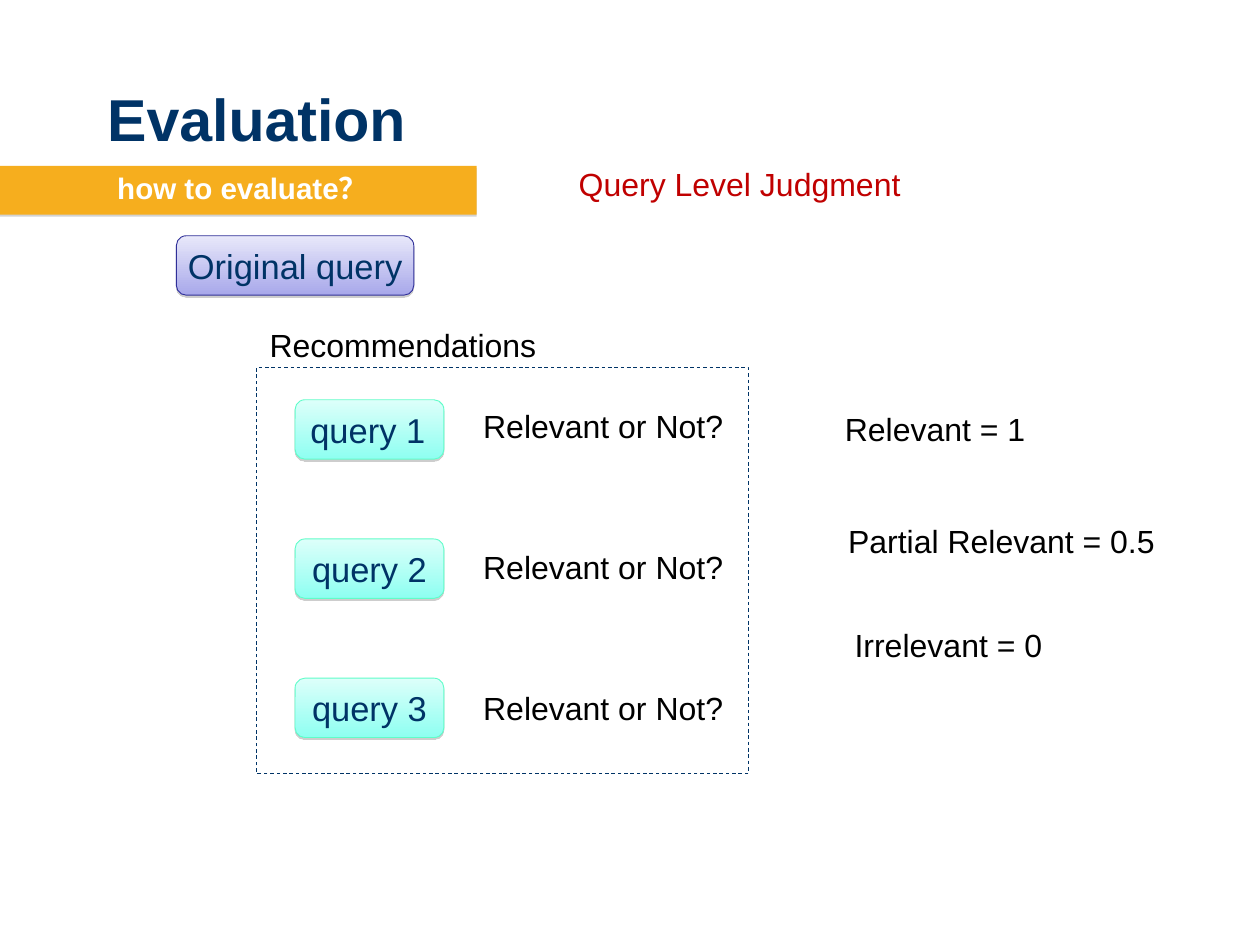
from lxml.etree import SubElement
from pptx import Presentation
from pptx.dml.color import RGBColor
from pptx.enum.dml import MSO_LINE
from pptx.enum.shapes import MSO_SHAPE
from pptx.enum.text import MSO_ANCHOR, PP_ALIGN
from pptx.oxml.ns import qn
from pptx.util import Inches, Pt

COLORS = {
    "navy": "003366",
    "black": "000000",
    "white": "FFFFFF",
    "red": "C00000",
    "orange": "F6AE1E",
    "shadow": "808080",
    "mint_top": "DDFFFA",
    "mint_bottom": "8EFFF1",
    "mint_line": "60FDC9",
    "lilac_top": "E8E8FA",
    "lilac_bottom": "A8A8EA",
    "lilac_line": "2F2F98",
}
LABEL_INSETS = (0.14, 0.07, 0.14, 0.07)


def rgb(name):
    return RGBColor.from_string(COLORS[name])


def write(shape, text, size, color, bold=False, align=PP_ALIGN.CENTER,
          anchor=MSO_ANCHOR.TOP, insets=LABEL_INSETS, wrap=False):
    frame = shape.text_frame
    frame.word_wrap = wrap
    frame.vertical_anchor = anchor
    left, top, right, bottom = insets
    frame.margin_left, frame.margin_top = Inches(left), Inches(top)
    frame.margin_right, frame.margin_bottom = Inches(right), Inches(bottom)
    para = frame.paragraphs[0]
    para.text = text
    para.alignment = align
    para.font.name = "Arial"
    para.font.size = Pt(size)
    para.font.bold = bold
    para.font.color.rgb = rgb(color)
    return para


def add_label(page, text, left, top, width, color="black"):
    box = page.shapes.add_textbox(Inches(left), Inches(top), Inches(width), Inches(0.58))
    write(box, text, 26, color)


def add_shadow(shape, distance, opacity):
    shape.shadow.inherit = False
    effects = shape._element.spPr.find(qn("a:effectLst"))
    shadow = SubElement(effects, qn("a:outerShdw"), blurRad="0", dist=str(Pt(distance)),
                        dir="5400000", algn="ctr", rotWithShape="0")
    color = SubElement(shadow, qn("a:srgbClr"), val=COLORS["shadow"])
    SubElement(color, qn("a:alpha"), val=str(opacity * 1000))


def add_query(page, text, left, top, width, palette, align=PP_ALIGN.CENTER):
    box = page.shapes.add_shape(MSO_SHAPE.ROUNDED_RECTANGLE, Inches(left), Inches(top),
                                Inches(width), Inches(0.67))
    box.fill.gradient()
    box.fill.gradient_angle = 270
    for stop, position, edge in zip(box.fill.gradient_stops, (0, 1), ("top", "bottom")):
        stop.position = position
        stop.color.rgb = rgb(f"{palette}_{edge}")
    box.line.color.rgb = rgb(f"{palette}_line")
    box.line.width = Pt(0.75)
    add_shadow(box, 1.6, 38)
    write(box, text, 28, "navy", align=align)


def add_frame(page):
    frame = page.shapes.add_shape(MSO_SHAPE.RECTANGLE, Inches(2.89), Inches(4.15),
                                  Inches(5.56), Inches(4.57))
    frame.shadow.inherit = False
    frame.fill.background()
    frame.line.color.rgb = rgb("navy")
    frame.line.width = Pt(0.75)
    frame.line.dash_style = MSO_LINE.DASH


def add_title(page, text):
    box = page.shapes.add_textbox(Inches(1.17), 0, Inches(12.44), Inches(1.78))
    para = write(box, text, 48, "navy", bold=True, align=PP_ALIGN.LEFT,
                 anchor=MSO_ANCHOR.BOTTOM, insets=(0.04,) * 4, wrap=True)
    para.line_spacing = 0.9


def add_banner(page, text):
    banner = page.shapes.add_shape(MSO_SHAPE.RECTANGLE, 0, Inches(1.87),
                                   Inches(5.38), Inches(0.55))
    banner.fill.solid()
    banner.fill.fore_color.rgb = rgb("orange")
    banner.line.fill.background()
    add_shadow(banner, 1.8, 35)
    para = write(banner, text, 24, "white", bold=True, anchor=MSO_ANCHOR.MIDDLE,
                 insets=(0.3, 0.02, 0.2, 0), wrap=True)
    para.line_spacing = 0.8
    properties = para._p.get_or_add_pPr()
    properties.set("marL", str(Inches(0.44)))
    properties.set("indent", str(Inches(-0.44)))


def main():
    deck = Presentation()
    deck.slide_width, deck.slide_height = Inches(14.22), Inches(10.66)
    page = deck.slides.add_slide(deck.slide_layouts[6])

    add_title(page, "Evaluation")
    add_banner(page, "how to evaluate？")
    add_label(page, "Query Level Judgment", 6.39, 1.79, 3.92, "red")
    add_query(page, "Original query", 1.99, 2.66, 2.68, "lilac")

    add_frame(page)
    add_label(page, "Recommendations", 2.9, 3.6, 3.3)
    for index in range(3):
        align = PP_ALIGN.CENTER if index else PP_ALIGN.LEFT
        add_query(page, f"query {index + 1}", 3.33, 4.51 + 1.57 * index, 1.68, "mint", align)
        add_label(page, "Relevant or Not?", 5.31, 4.52 + 1.59 * index, 3)

    for text, left, top, width in (
        ("Relevant = 1", 9.39, 4.55, 2.33),
        ("Partial Relevant = 0.5", 9.43, 5.81, 3.75),
        ("Irrelevant = 0", 9.5, 6.99, 2.41),
    ):
        add_label(page, text, left, top, width)

    deck.save("out.pptx")


if __name__ == "__main__":
    main()
